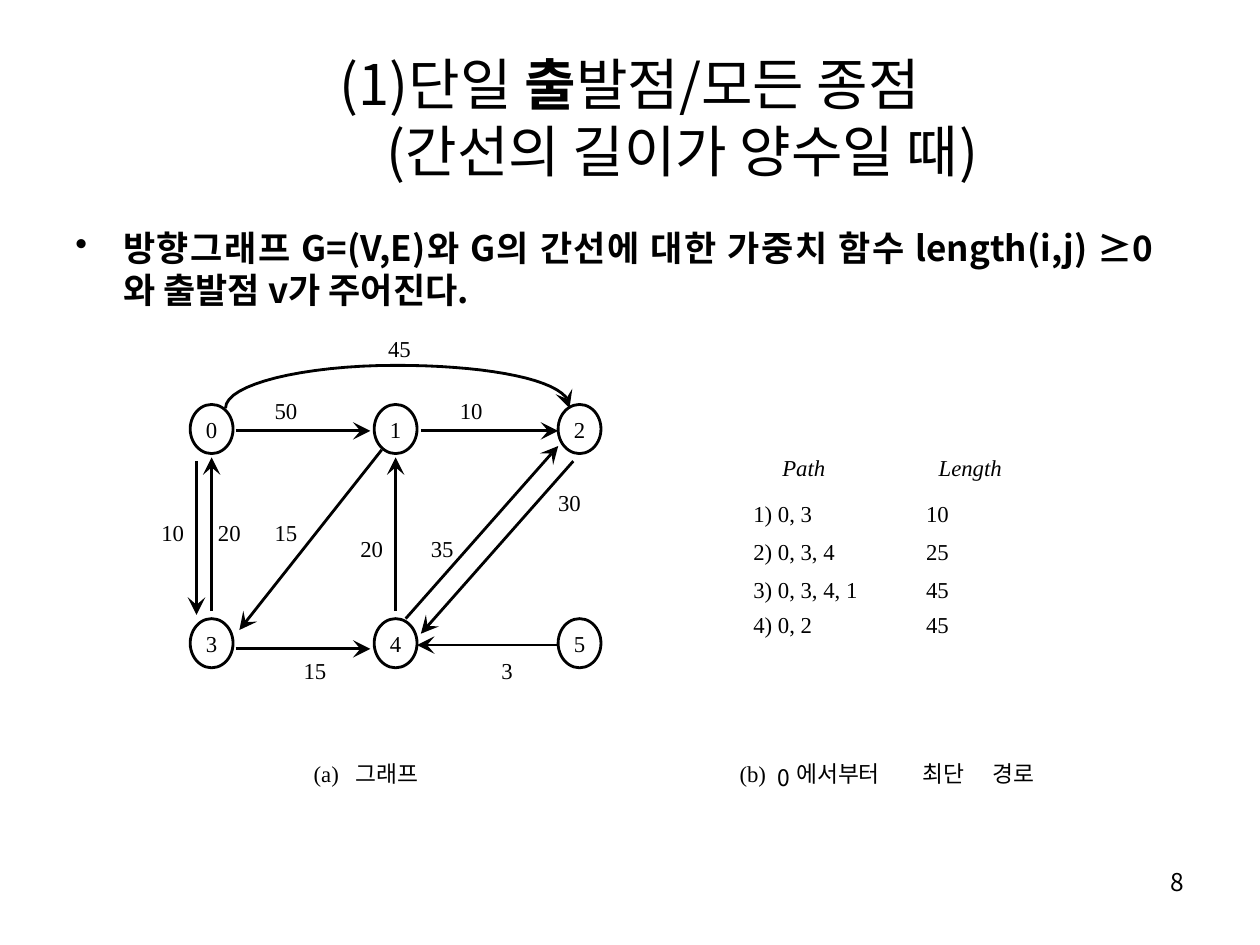
from math import hypot

from lxml.etree import SubElement
from pptx import Presentation
from pptx.dml.color import RGBColor
from pptx.enum.shapes import MSO_CONNECTOR, MSO_SHAPE
from pptx.enum.text import MSO_ANCHOR, MSO_AUTO_SIZE, PP_ALIGN
from pptx.oxml.ns import qn
from pptx.util import Inches, Pt

BLACK = RGBColor(0, 0, 0)
WHITE = RGBColor(255, 255, 255)
KOREAN = "Noto Sans CJK KR"
SERIF = "Times New Roman"
LETTER_WIDTH = {KOREAN: 0.17, SERIF: 0.09}
LINE_WIDTH = Pt(1.62)
HEAD_LENGTH, HEAD_NOTCH, HEAD_HALF_WIDTH = 0.14, 0.08, 0.07

COLUMNS = (1.51, 2.97, 4.43)
ROWS = (3.21, 4.91)
NODE_SIZE = (0.34, 0.39)

EDGES = [
    ((1.87, 3.42), (2.94, 3.42)),
    ((3.34, 3.42), (4.43, 3.42)),
    ((1.87, 5.15), (2.94, 5.15)),
    ((4.43, 5.12), (3.31, 5.12)),
    ((3.03, 3.57), (1.9, 5)),
    ((3.22, 4.91), (4.43, 3.54)),
    ((4.55, 3.66), (3.34, 5.03)),
    ((3.14, 4.85), (3.14, 3.63)),
    ((1.56, 3.66), (1.56, 4.88)),
    ((1.68, 4.85), (1.68, 3.63)),
]
CURVES = [
    ((1.79, 3.24), (1.79, 3.05), (2.41, 2.9), (3.14, 2.9)),
    ((3.14, 2.9), (3.79, 2.9), (4.35, 2.99), (4.49, 3.15)),
]
CURVE_TIP = (4.52, 3.24)

WEIGHTS = [
    ("50", 2.18, 3.15), ("45", 3.08, 2.66), ("10", 3.65, 3.15),
    ("15", 2.18, 4.12), ("20", 1.73, 4.12), ("10", 1.28, 4.12),
    ("20", 2.86, 4.24), ("35", 3.42, 4.24), ("30", 4.43, 3.88),
    ("3", 3.98, 5.21), ("15", 2.41, 5.21),
]
PATHS = [
    ("1) 0, 3", "10", 3.97), ("2) 0, 3, 4", "25", 4.27),
    ("3) 0, 3, 4, 1", "45", 4.57), ("4) 0, 2", "45", 4.85),
]
CAPTIONS = [
    ("(a)", 2.49, 6.03, SERIF), ("그래프", 2.82, 6.03, KOREAN),
    ("(b)", 5.87, 6.03, SERIF), ("0", 6.17, 6.06, KOREAN),
    ("에서부터", 6.32, 6.03, KOREAN), ("최단", 7.32, 6.03, KOREAN),
    ("경로", 7.88, 6.03, KOREAN),
]


def style_font(font, name, size, bold=False, italic=False):
    font.name, font.size = name, Pt(size)
    font.bold, font.italic = bold, italic
    font.color.rgb = BLACK
    SubElement(font._element, qn("a:ea"), typeface=name)


def set_hanging_indent(para, inches):
    properties = para._p.get_or_add_pPr()
    properties.set("marL", str(Inches(inches)))
    properties.set("indent", str(-Inches(inches)))
    return properties


def remove_margins(frame):
    frame.margin_left = frame.margin_right = 0
    frame.margin_top = frame.margin_bottom = 0


def add_title(page):
    title = page.shapes.title
    title.left, title.top = Inches(0.5), Inches(0.3)
    title.width, title.height = Inches(9), Inches(1.25)
    frame = title.text_frame
    frame.vertical_anchor = MSO_ANCHOR.MIDDLE
    para = frame.paragraphs[0]
    para.alignment = PP_ALIGN.CENTER
    set_hanging_indent(para, 0.83)
    pieces = [("(1)단일 ", False), ("출", True), ("발점/모든 종점", False),
              (None, False), ("(간선의 길이가 양수일 때)", False)]
    for text, bold in pieces:
        if text is None:
            para.add_line_break()
            continue
        span = para.add_run()
        span.text = text
        style_font(span.font, KOREAN, 32, bold)


def add_text(page, text, left, top, width, height):
    box = page.shapes.add_textbox(
        Inches(left), Inches(top), Inches(width), Inches(height))
    box.text_frame.word_wrap = True
    para = box.text_frame.paragraphs[0]
    para.text = text
    return box, para


def add_body(page):
    text = ("방향그래프 G=(V,E)와 G의 간선에 대한 가중치 함수 "
            "length(i,j) ≥0 와 출발점 v가 주어진다.")
    box, para = add_text(page, text, 0.5, 1.75, 8.75, 0.85)
    para.alignment = PP_ALIGN.JUSTIFY
    properties = set_hanging_indent(para, 0.38)
    SubElement(properties, qn("a:buChar"), char="•")
    style_font(para.font, KOREAN, 20, bold=True)


def add_page_number(page):
    box, para = add_text(page, "8", 7.17, 6.83, 2.33, 0.52)
    para.alignment = PP_ALIGN.RIGHT
    style_font(para.font, KOREAN, 14)


def add_label(page, text, left, top, name=SERIF, italic=False):
    width = LETTER_WIDTH[name] * len(text)
    box, para = add_text(page, text, left, top, width, 0.22)
    box.text_frame.word_wrap = False
    box.text_frame.auto_size = MSO_AUTO_SIZE.SHAPE_TO_FIT_TEXT
    remove_margins(box.text_frame)
    style_font(para.font, name, 13, italic=italic)


def add_path_row(page, path, length, top):
    box, para = add_text(page, f"{path}\t{length}", 5.98, top, 1.6, 0.22)
    remove_margins(box.text_frame)
    tabs = SubElement(para._p.get_or_add_pPr(), qn("a:tabLst"))
    SubElement(tabs, qn("a:tab"), pos=str(Inches(1.37)), algn="l")
    style_font(para.font, SERIF, 13)


def add_node(page, text, left, top):
    node = page.shapes.add_shape(
        MSO_SHAPE.OVAL, *map(Inches, (left, top, *NODE_SIZE)))
    node.shadow.inherit = False
    node.fill.solid()
    node.fill.fore_color.rgb = WHITE
    style_line(node.line)
    frame = node.text_frame
    frame.word_wrap = False
    frame.vertical_anchor = MSO_ANCHOR.MIDDLE
    remove_margins(frame)
    para = frame.paragraphs[0]
    para.text = text
    para.alignment = PP_ALIGN.CENTER
    style_font(para.font, SERIF, 13)


def style_line(line):
    line.color.rgb = BLACK
    line.width = LINE_WIDTH


def add_outline(page, points, close):
    start, *rest = [tuple(map(Inches, point)) for point in points]
    builder = page.shapes.build_freeform(*start)
    builder.add_line_segments(rest, close=close)
    outline = builder.convert_to_shape()
    outline.shadow.inherit = False
    return outline


def add_head(page, start, tip):
    """Draw a notched arrowhead at tip and return the notch, where the line ends."""
    run, rise = tip[0] - start[0], tip[1] - start[1]
    distance = hypot(run, rise)
    run, rise = run / distance, rise / distance

    def behind(back, side):
        return (tip[0] - back * run - side * rise,
                tip[1] - back * rise + side * run)

    notch = behind(HEAD_NOTCH, 0)
    head = add_outline(page, [tip, behind(HEAD_LENGTH, HEAD_HALF_WIDTH), notch,
                              behind(HEAD_LENGTH, -HEAD_HALF_WIDTH)], close=True)
    head.fill.solid()
    head.fill.fore_color.rgb = BLACK
    head.line.fill.background()
    return notch


def add_edge(page, start, tip):
    end = add_head(page, start, tip)
    edge = page.shapes.add_connector(
        MSO_CONNECTOR.STRAIGHT, *map(Inches, start + end))
    style_line(edge.line)
    SubElement(edge._element.spPr, qn("a:effectLst"))


def bezier_point(curve, t):
    weights = ((1 - t) ** 3, 3 * t * (1 - t) ** 2, 3 * t * t * (1 - t), t ** 3)
    return tuple(sum(w * point[axis] for w, point in zip(weights, curve))
                 for axis in (0, 1))


def add_curved_edge(page, steps=16):
    points = [CURVES[0][0]]
    points += [bezier_point(curve, step / steps)
               for curve in CURVES for step in range(1, steps + 1)]
    points.append(add_head(page, points[-1], CURVE_TIP))
    arc = add_outline(page, points, close=False)
    arc.fill.background()
    style_line(arc.line)


def main():
    deck = Presentation()
    deck.slide_width, deck.slide_height = Inches(10), Inches(7.5)
    page = deck.slides.add_slide(deck.slide_layouts[5])
    add_title(page)
    add_body(page)
    add_page_number(page)
    for index in range(len(COLUMNS) * len(ROWS)):
        row, column = divmod(index, len(COLUMNS))
        add_node(page, str(index), COLUMNS[column], ROWS[row])
    for start, tip in EDGES:
        add_edge(page, start, tip)
    add_curved_edge(page)
    for weight in WEIGHTS:
        add_label(page, *weight)
    add_label(page, "Path", 6.21, 3.6, italic=True)
    add_label(page, "Length", 7.45, 3.6, italic=True)
    for path_row in PATHS:
        add_path_row(page, *path_row)
    for caption in CAPTIONS:
        add_label(page, *caption)
    deck.save("out.pptx")


if __name__ == "__main__":
    main()
